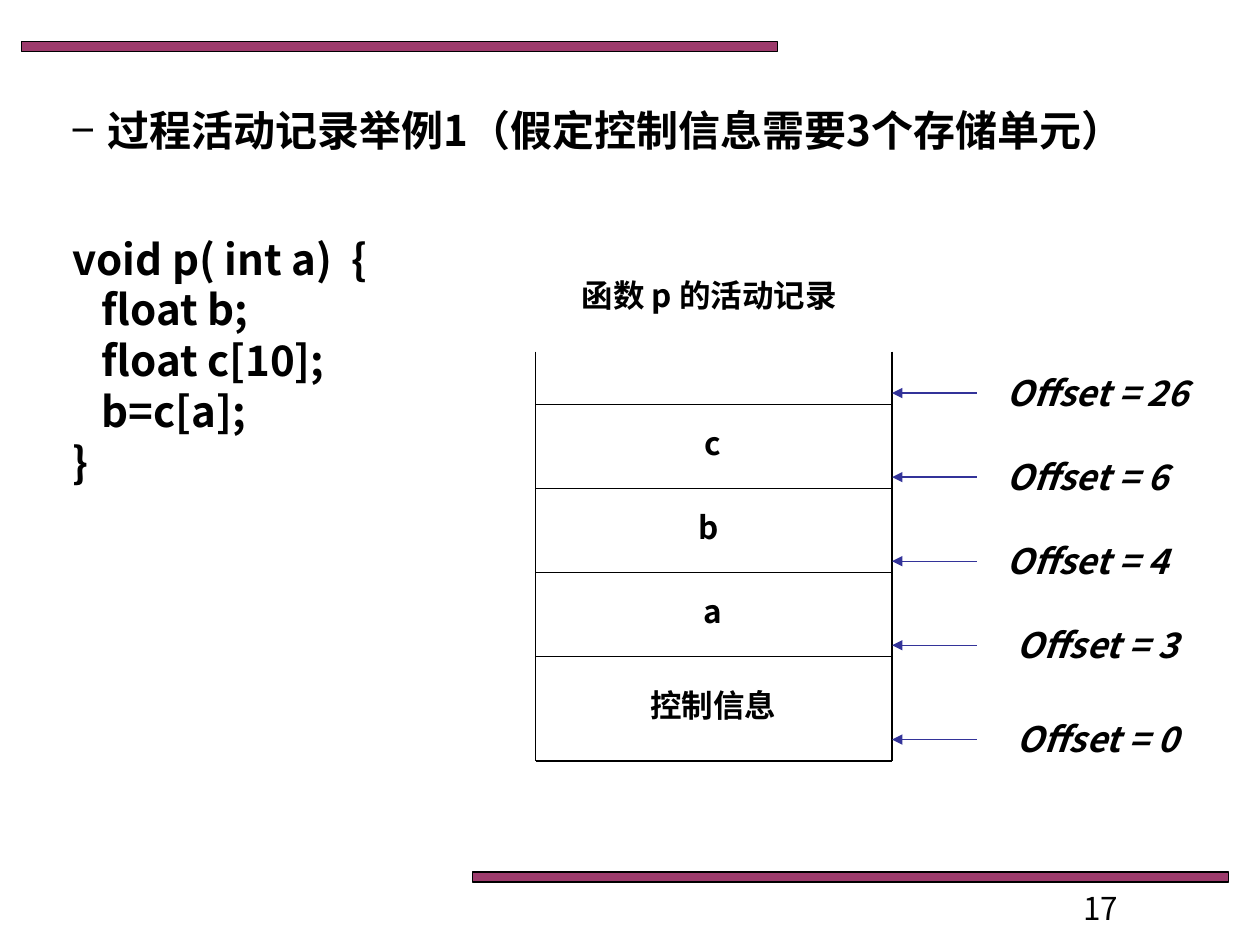
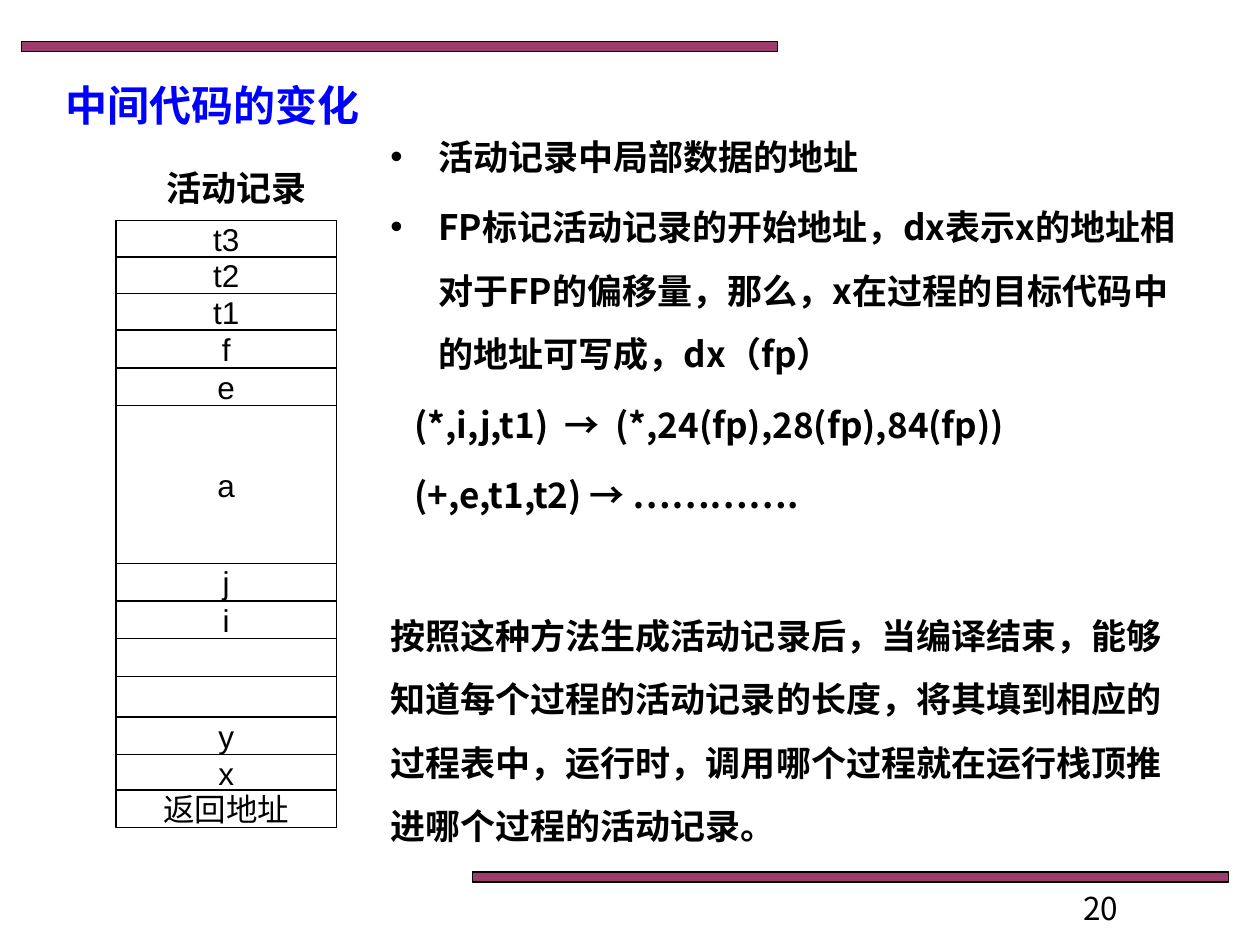
from dataclasses import dataclass
from itertools import count

from lxml.etree import SubElement
from pptx import Presentation
from pptx.dml.color import RGBColor
from pptx.enum.shapes import MSO_CONNECTOR as CONNECTOR, MSO_SHAPE as SHAPE
from pptx.enum.text import MSO_ANCHOR as ANCHOR, MSO_AUTO_SIZE as AUTO_SIZE, PP_ALIGN as ALIGN
from pptx.oxml.ns import qn
from pptx.util import Inches, Pt


@dataclass(frozen=True)
class Theme:
    ink: str = "000000"
    band: str = "993366"
    heading: str = "0000FF"
    arrow: str = "333399"
    font: str = "Noto Sans CJK SC"
    cell_font: str = "Arial"
    heading_font: str = "Times New Roman"
    large: int = 24
    medium: int = 20
    small: int = 18
    rule: float = 0.75
    pitch: float = 1.21
    drop: float = 0.08  # baseline correction, in ems


THEME = Theme()


def rgb(code):
    return RGBColor.from_string(code)


def place(shape, box):
    shape.left, shape.top, shape.width, shape.height = map(Inches, box)


def set_indent(paragraph, left, first=0, bullet=None):
    props = paragraph._p.get_or_add_pPr()
    props.set("marL", str(Inches(left)))
    props.set("indent", str(Inches(first)))
    if bullet:
        SubElement(props, qn("a:buFont"), typeface="Arial")
        SubElement(props, qn("a:buChar"), char=bullet)


def write(paragraph, text, size=THEME.small, font=THEME.font, color=THEME.ink, bold=True,
          italic=False, align=ALIGN.LEFT, pitch=THEME.pitch, before=0):
    paragraph.alignment = align
    paragraph.space_before = Pt(before)
    if pitch:
        paragraph.line_spacing = Pt(round(size * pitch, 1))
    run = paragraph.add_run()
    run.text = text
    run.font.size, run.font.name = Pt(size), font
    run.font.bold, run.font.italic = bold, italic
    run.font.color.rgb = rgb(color)
    SubElement(run._r.get_or_add_rPr(), qn("a:ea"), typeface=THEME.font)


def prepare_frame(shape, size, wrap=True):
    frame = shape.text_frame
    frame.word_wrap = wrap
    frame.auto_size = AUTO_SIZE.NONE
    frame.vertical_anchor = ANCHOR.TOP
    frame.margin_left = frame.margin_right = Inches(0.1)
    frame.margin_top = Inches(0.05) + Pt(size * THEME.drop)
    frame.margin_bottom = Inches(0.05)
    return frame


def add_text(slide, box, *lines, size=THEME.small, wrap=True, **style):
    frame = prepare_frame(slide.shapes.add_textbox(*map(Inches, box)), size, wrap)
    for i, line in enumerate(lines):
        paragraph = frame.add_paragraph() if i else frame.paragraphs[0]
        write(paragraph, line, size=size, **style)


def add_line(slide, start, end, color=THEME.ink, arrow=False):
    line = slide.shapes.add_connector(CONNECTOR.STRAIGHT, *map(Inches, (*start, *end)))
    line.line.color.rgb = rgb(color)
    line.line.width = Pt(THEME.rule)
    if arrow:
        SubElement(line.line._get_or_add_ln(), qn("a:tailEnd"), type="triangle")
    SubElement(line._element.spPr, qn("a:effectLst"))


def add_rect(slide, box, fill=None):
    rect = slide.shapes.add_shape(SHAPE.RECTANGLE, *map(Inches, box))
    rect.shadow.inherit = False
    rect.line.color.rgb = rgb(THEME.ink)
    rect.line.width = Pt(THEME.rule)
    if fill:
        rect.fill.solid()
        rect.fill.fore_color.rgb = rgb(fill)
    else:
        rect.fill.background()
    return rect


def add_master_bands(prs, slide):
    """Draw the two bands and move them to the master, so every slide shows them."""
    tree = prs.slide_master.shapes.element
    free_ids = count(max(s.shape_id for s in prs.slide_master.shapes) + 1)
    for left, top in ((0.17, 0.33), (3.75, 6.92)):
        band = add_rect(slide, (left, top, 6, 0.08), THEME.band)
        color = band.element.spPr.find(qn("a:solidFill"))[0]
        SubElement(color, qn("a:alpha"), val="96000")
        band.element.nvSpPr.cNvPr.set("id", str(next(free_ids)))
        tree.append(band.element)


def add_title(slide, box, text, indent=0, bullet=None, **style):
    title = slide.shapes.title
    place(title, box)
    paragraph = prepare_frame(title, THEME.large).paragraphs[0]
    set_indent(paragraph, indent, -indent, bullet)
    write(paragraph, text, size=THEME.large, **style)


def add_page_number(slide, number):
    add_text(slide, (8.5, 6.98, 1.58, 0.18), str(number), bold=False)


def add_open_stack(slide, box):
    """Activation record of p: open at the top, with the offset of each field."""
    left, top, width, height = box
    right, bottom = left + width, top + height
    first, step = top + 0.42, 0.667
    dividers = [first + i * step for i in range(4)]

    for x in (left, right):
        add_line(slide, (x, top), (x, bottom))
    for y in (*dividers, bottom):
        add_line(slide, (left, y), (right, y))
    for field, y, shift in zip("cba", dividers, (0.06, 0, 0.06)):
        add_text(slide, (left + shift, y + 0.08, 2.75 - shift, 0.4), field, align=ALIGN.CENTER)
    add_text(slide, (left + 0.8, dividers[-1] + 0.16, 1.22, 0.4), "控制信息",
             wrap=False, align=ALIGN.CENTER)
    add_text(slide, (left + 0.2, top - 0.67, 2.36, 0.4), "函数 p 的活动记录",
             wrap=False, align=ALIGN.CENTER)

    arrow_levels = [y - 0.09 for y in dividers] + [bottom - 0.17]
    label_centers = (1.63, 1.55, 1.55, 1.63, 1.63)
    for offset, y, center in zip((26, 6, 4, 3, 0), arrow_levels, label_centers):
        add_line(slide, (right + 0.67, y), (right, y), THEME.arrow, arrow=True)
        add_text(slide, (right + center - 1, y - 0.25, 2, 0.44), f"Offset = {offset}",
                 size=THEME.medium, italic=True, align=ALIGN.CENTER)


def add_record_stack(slide, left, top, width):
    fields = (("t3", 0.29), ("t2", 0.29), ("t1", 0.29), ("f", 0.3), ("e", 0.3), ("a", 1.25),
              ("j", 0.3), ("i", 0.3), ("", 0.3), ("", 0.32), ("y", 0.3), ("x", 0.28),
              ("返回地址", 0.3))
    add_text(slide, (left, top - 0.5, 1.92, 0.44), "活动记录",
             size=THEME.medium, align=ALIGN.CENTER)
    for field, height in fields:
        cell = add_rect(slide, (left, top, width, height))
        top += height
        if field:
            frame = cell.text_frame
            frame.word_wrap = False
            frame.vertical_anchor = ANCHOR.MIDDLE
            write(frame.paragraphs[0], field, font=THEME.cell_font, bold=False,
                  align=ALIGN.CENTER, pitch=None)


def add_explanation(slide, box):
    bulleted = dict(left=0.38, first=-0.38, bullet="•")
    quadruple = dict(left=0.19)
    plain = dict(left=0)
    points = (
        ("活动记录中局部数据的地址", bulleted, 0),
        ("FP标记活动记录的开始地址，dx表示x的地址相对于FP的偏移量，那么，"
         "x在过程的目标代码中的地址可写成，dx（fp）", bulleted, 4),
        ("(*,i,j,t1)  →  (*,24(fp),28(fp),84(fp))", quadruple, 4),
        ("(+,e,t1,t2) → ………….", quadruple, 4),
        ("按照这种方法生成活动记录后，当编译结束，能够知道每个过程的活动记录的长度，"
         "将其填到相应的过程表中，运行时，调用哪个过程就在运行栈顶推进哪个过程的活动记录。",
         plain, 44),
    )
    frame = prepare_frame(slide.shapes.add_textbox(*map(Inches, box)), THEME.medium)
    for i, (text, indent, before) in enumerate(points):
        paragraph = frame.add_paragraph() if i else frame.paragraphs[0]
        set_indent(paragraph, **indent)
        write(paragraph, text, size=THEME.medium, pitch=1.5 * THEME.pitch, before=before)


def build_example_slide(slide):
    add_title(slide, (0.46, 0.75, 8.62, 0.9),
              " 过程活动记录举例1（假定控制信息需要3个存储单元）", indent=0.22, bullet="−")
    add_text(slide, (0.48, 1.77, 3.3, 2.12), "void p( int a)  {", "   float b;",
             "   float c[10];", "   b=c[a];", "}", size=THEME.large)
    add_open_stack(slide, (4.25, 2.79, 2.83, 3.25))
    add_page_number(slide, 17)


def build_code_change_slide(slide):
    add_title(slide, (0.42, 0.55, 5.25, 0.2), "中间代码的变化",
              font=THEME.heading_font, color=THEME.heading)
    add_record_stack(slide, 0.92, 1.75, 1.75)
    add_explanation(slide, (3, 0.83, 6.58, 5.92))
    add_page_number(slide, 20)


def main():
    prs = Presentation()
    prs.slide_width, prs.slide_height = Inches(10), Inches(7.5)
    title_only = prs.slide_layouts[5]
    example = prs.slides.add_slide(title_only)
    add_master_bands(prs, example)
    build_example_slide(example)
    build_code_change_slide(prs.slides.add_slide(title_only))
    prs.save("out.pptx")


if __name__ == "__main__":
    main()
